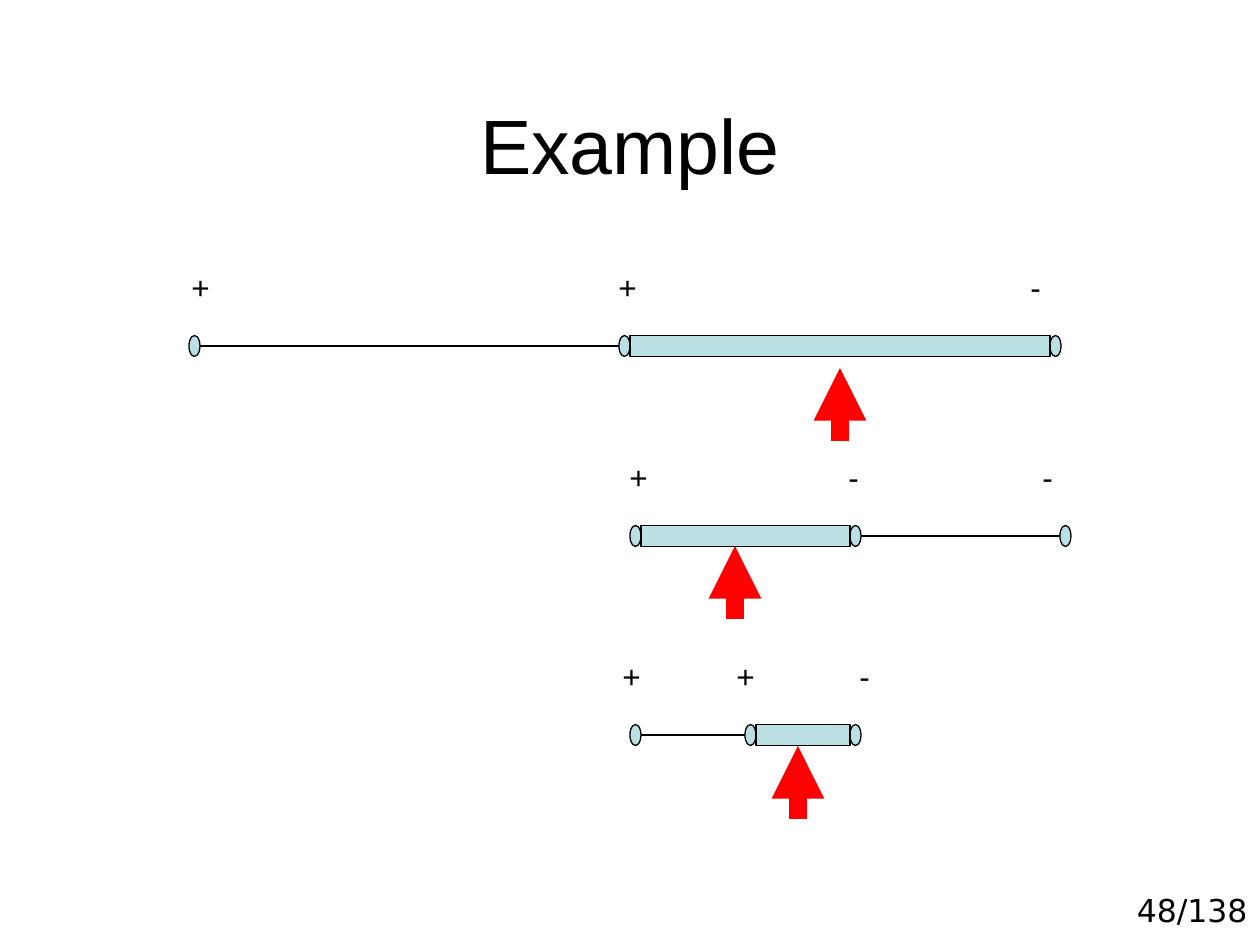
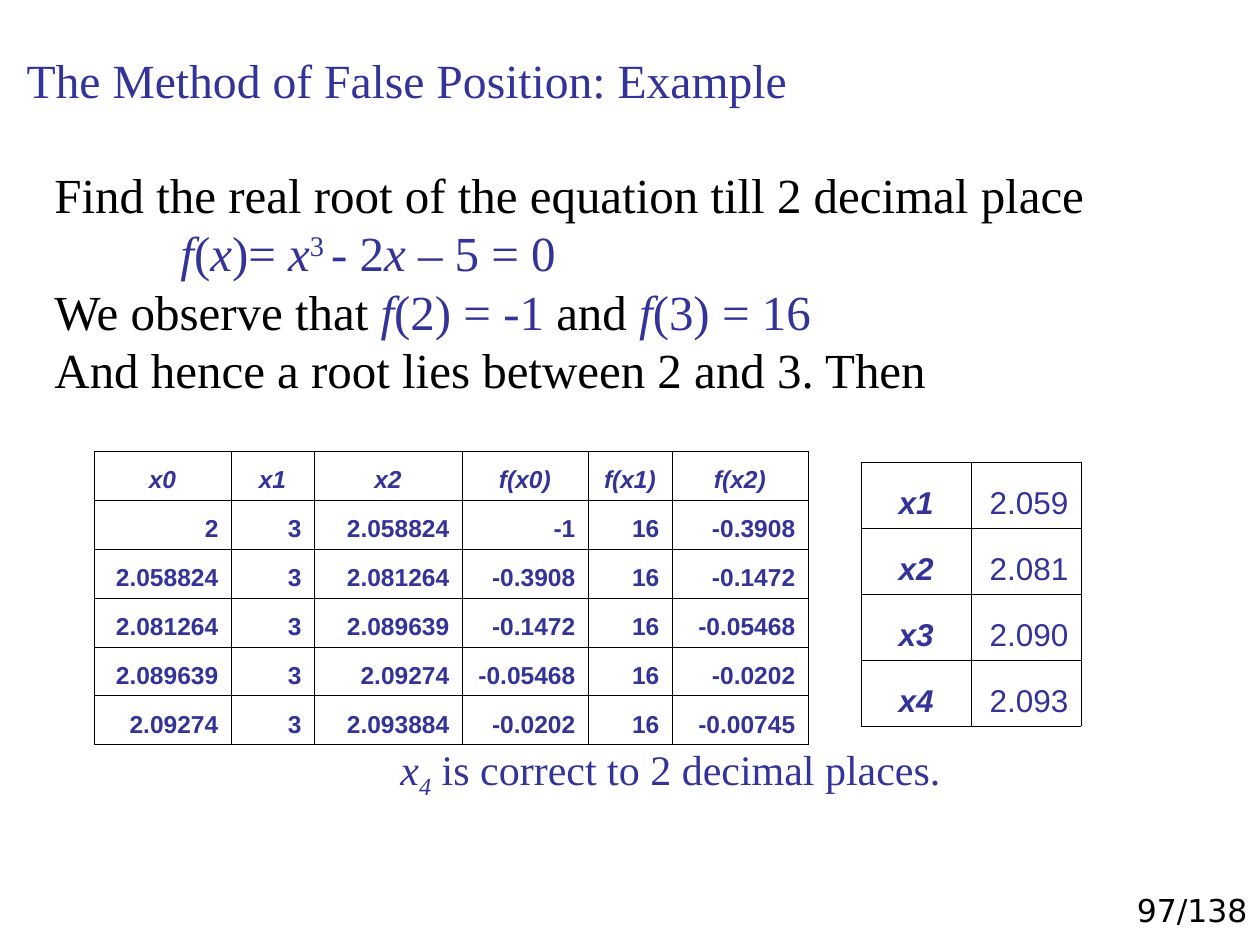
from dataclasses import dataclass
from typing import Any

from lxml import etree
from pptx import Presentation
from pptx import util as u
from pptx.dml.color import RGBColor
from pptx.enum import shapes, text
from pptx.oxml.ns import qn

PX = 914400 / 126
COLORS = {"ink": "000000", "accent": "333399", "node": "BBE0E3", "arrow": "FF0000"}
SANS, SERIF, PAGE_FONT = "Arial", "Times New Roman", "DejaVu Sans"
ALIGN, ANCHOR = text.PP_ALIGN, text.MSO_ANCHOR
NODE_W, NODE_H, ARROW_LENGTH, LABEL_RISE = 11, 21, 73, 84


@dataclass(frozen=True)
class Run:
    text: str
    color: str = "accent"
    italic: bool = False
    baseline: int = 0


@dataclass(frozen=True)
class Line:
    runs: tuple[Run, ...]
    size: float = 28
    spacing: float = 33.5
    before: float = 0
    indent: int = 0


@dataclass(frozen=True)
class Interval:
    axis: int
    nodes: tuple[int, int, int]
    bar_start: int
    arrow_x: int
    arrow_tip: int
    signs: str
    label_box: tuple[int, int]
    stops: tuple[int, ...]


@dataclass(frozen=True)
class Grid:
    left: int
    top: int
    widths: tuple[int, ...]
    row_height: int
    size: int
    rows: tuple[tuple[str, ...], ...]
    header_row: bool


INTERVALS = (
    Interval(346, (189, 619, 1050), 1, 840, 368, "+\t+\t-", (179, 892), (427, 839)),
    Interval(536, (630, 850, 1060), 0, 735, 546, "\t+\t-\t-", (189, 892), (428, 647, 841)),
    Interval(735, (630, 745, 850), 1, 798, 746, "\t+\t+\t-", (305, 788), (305, 419, 542)),
)

F = Run("f", italic=True)
X = Run("x", italic=True)
LINES = (
    Line((Run("Find the real root of the equation till 2 decimal place", "ink"),)),
    Line((F, Run("("), X, Run(")= "), X, Run("3 ", baseline=30000), Run("- 2"),
          Run("x ", italic=True), Run("– 5 = 0")), indent=126),
    Line((Run("We observe that ", "ink"), F, Run("(2) = -1"), Run(" and ", "ink"),
          F, Run("(3) = 16"))),
    Line((Run("And hence a root lies between 2 and 3. Then", "ink"),)),
    Line((X, Run("4", italic=True, baseline=-25000),
          Run(" is correct to 2 decimal places.")), 24, 28.5, 201, 346),
)

GRIDS = (
    Grid(94, 451, (137, 83, 148, 126, 84, 136), 49, 14, (
        ("x0", "x1", "x2", "f(x0)", "f(x1)", "f(x2)"),
        ("2", "3", "2.058824", "-1", "16", "-0.3908"),
        ("2.058824", "3", "2.081264", "-0.3908", "16", "-0.1472"),
        ("2.081264", "3", "2.089639", "-0.1472", "16", "-0.05468"),
        ("2.089639", "3", "2.09274", "-0.05468", "16", "-0.0202"),
        ("2.09274", "3", "2.093884", "-0.0202", "16", "-0.00745"),
    ), True),
    Grid(861, 462, (110, 110), 66, 18, (
        ("x1", "2.059"), ("x2", "2.081"), ("x3", "2.090"), ("x4", "2.093"),
    ), False),
)


def px(n: float) -> int:
    return round(n * PX)


def rgb(color: str) -> RGBColor:
    return RGBColor.from_string(COLORS[color])


def assign(obj: Any, **values: Any) -> None:
    for name, value in values.items():
        setattr(obj, name, value)


def style(font: Any, name: str, size: float, color: str, **extra: Any) -> None:
    assign(font, name=name, size=u.Pt(size), **extra)
    font.color.rgb = rgb(color)


def add_box(s: Any, left: int, top: int, width: int, height: int) -> Any:
    sp = s.shapes.add_textbox(px(left), px(top), px(width), px(height))
    sp.text_frame.word_wrap = True
    return sp.text_frame


def add_slide(prs: Any, title: str, box: tuple[int, int, int, int], name: str,
              size: float, color: str, align: Any, spacing: float, page: str) -> Any:
    s = prs.slides.add_slide(prs.slide_layouts[5])
    sp = s.shapes.title
    assign(sp, **dict(zip(("left", "top", "width", "height"), map(px, box))))
    tf = sp.text_frame
    assign(tf, text=title, vertical_anchor=ANCHOR.BOTTOM, auto_size=text.MSO_AUTO_SIZE.NONE)
    p = tf.paragraphs[0]
    assign(p, alignment=align, line_spacing=spacing)
    style(p.runs[0].font, name, size, color)
    p = add_box(s, 1061, 885, 199, 60).paragraphs[0]
    assign(p, text=page, alignment=ALIGN.RIGHT)
    style(p.runs[0].font, PAGE_FONT, 18, "ink")
    return s


def add_line(s: Any, start: tuple[int, int], end: tuple[int, int],
             color: str, width: float, arrow: bool = False) -> None:
    sp = s.shapes.add_connector(shapes.MSO_CONNECTOR.STRAIGHT, *map(px, start + end))
    sp.line.color.rgb = rgb(color)
    sp.line.width = u.Pt(width)
    if arrow:
        etree.SubElement(sp.line._get_or_add_ln(), qn("a:tailEnd"), type="triangle")
    etree.SubElement(sp._element.spPr, qn("a:effectLst"))


def add_part(s: Any, kind: Any, left: int, axis: int, width: int) -> None:
    sp = s.shapes.add_shape(kind, px(left), px(axis - NODE_H / 2), px(width), px(NODE_H))
    sp.shadow.inherit = False
    sp.fill.solid()
    sp.fill.fore_color.rgb = rgb("node")
    sp.line.color.rgb = rgb("ink")
    sp.line.width = u.Pt(0.75)


def add_signs(s: Any, row: Interval) -> None:
    left, width = row.label_box
    p = add_box(s, left, row.axis - LABEL_RISE, width, 50).paragraphs[0]
    tabs = etree.SubElement(p._p.get_or_add_pPr(), qn("a:tabLst"))
    for stop in row.stops:
        etree.SubElement(tabs, qn("a:tab"), pos=str(px(stop)), algn="l")
    r = p.add_run()
    r.text = row.signs
    style(r.font, SANS, 18, "ink")


def add_interval(s: Any, row: Interval) -> None:
    add_line(s, (row.nodes[0], row.axis), (row.nodes[-1] + NODE_W, row.axis), "ink", 0.75)
    add_signs(s, row)
    for left in row.nodes:
        add_part(s, shapes.MSO_SHAPE.OVAL, left, row.axis, NODE_W)
    start, end = row.nodes[row.bar_start] + NODE_W, row.nodes[row.bar_start + 1]
    add_part(s, shapes.MSO_SHAPE.RECTANGLE, start, row.axis, end - start)
    add_line(s, (row.arrow_x, row.arrow_tip + ARROW_LENGTH), (row.arrow_x, row.arrow_tip),
             "arrow", 10, True)


def add_lines(s: Any, lines: tuple[Line, ...]) -> None:
    tf = add_box(s, 42, 158, 1166, 659)
    for i, line in enumerate(lines):
        p = tf.add_paragraph() if i else tf.paragraphs[0]
        assign(p, alignment=ALIGN.JUSTIFY, line_spacing=u.Pt(line.spacing))
        if line.before:
            p.space_before = u.Pt(line.before)
        if line.indent:
            p._p.get_or_add_pPr().set("marL", str(px(line.indent)))
        for run in line.runs:
            r = p.add_run()
            r.text = run.text
            style(r.font, SERIF, line.size, run.color, italic=run.italic)
            if run.baseline:
                r._r.get_or_add_rPr().set("baseline", str(run.baseline))


def add_borders(cell: Any) -> None:
    tcPr = cell._tc.get_or_add_tcPr()
    for i, side in enumerate(("a:lnL", "a:lnR", "a:lnT", "a:lnB")):
        ln = etree.Element(qn(side), w=str(u.Pt(0.45)))
        fill = etree.SubElement(ln, qn("a:solidFill"))
        etree.SubElement(fill, qn("a:srgbClr"), val=COLORS["ink"])
        tcPr.insert(i, ln)


def add_grid(s: Any, grid: Grid) -> None:
    count = len(grid.rows)
    table = s.shapes.add_table(count, len(grid.widths), px(grid.left), px(grid.top),
                               px(sum(grid.widths)), px(count * grid.row_height)).table
    assign(table, first_row=False, horz_banding=False)
    for column, width in zip(table.columns, grid.widths):
        column.width = px(width)
    for i, values in enumerate(grid.rows):
        table.rows[i].height = px(grid.row_height)
        for j, value in enumerate(values):
            head = i == 0 if grid.header_row else j == 0
            cell = table.cell(i, j)
            assign(cell, text=value, vertical_anchor=ANCHOR.BOTTOM)
            cell.fill.background()
            add_borders(cell)
            p = cell.text_frame.paragraphs[0]
            p.alignment = ALIGN.CENTER if head else ALIGN.RIGHT
            style(p.runs[0].font, SANS, grid.size, "accent",
                  bold=head or grid.header_row, italic=head)


def main() -> None:
    prs = Presentation()
    assign(prs, slide_width=px(1260), slide_height=px(945))
    s = add_slide(prs, "Example", (63, 38, 1134, 158), SANS, 44, "ink",
                  ALIGN.CENTER, 1.0, "48/138")
    for row in INTERVALS:
        add_interval(s, row)
    s = add_slide(prs, "The Method of False Position: Example", (14, 42, 1089, 73),
                  SERIF, 27.2, "accent", ALIGN.LEFT, 0.9, "97/138")
    add_lines(s, LINES)
    for grid in GRIDS:
        add_grid(s, grid)
    prs.save("out.pptx")


if __name__ == "__main__":
    main()
